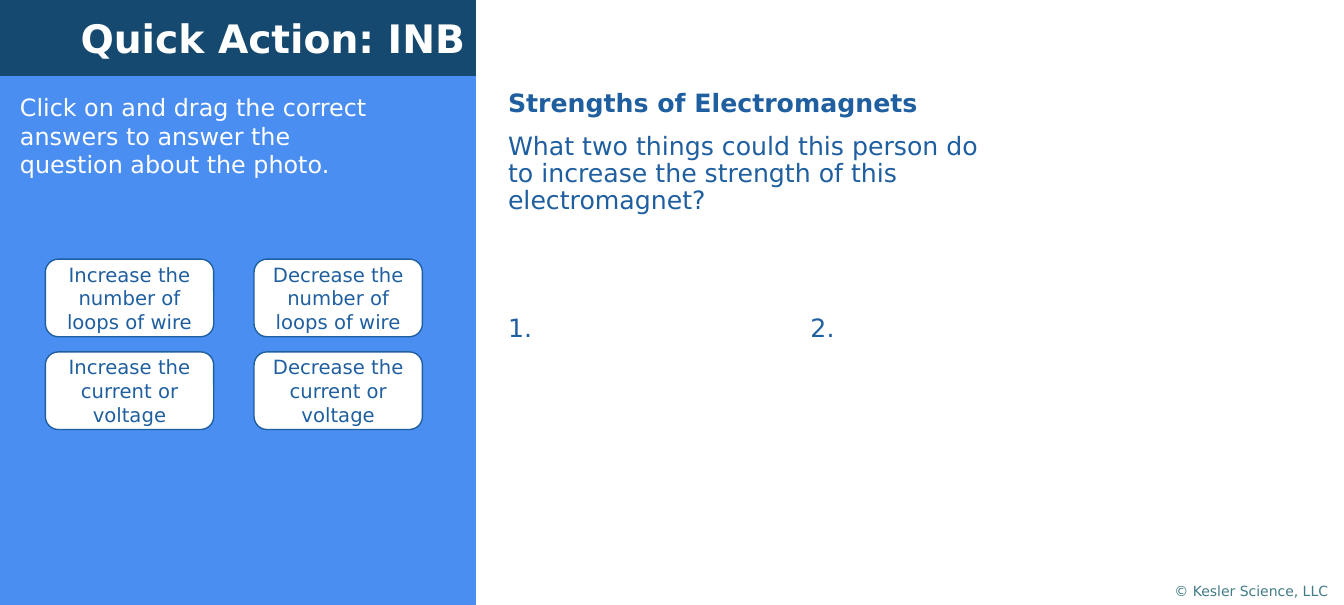
from dataclasses import dataclass
from typing import Any

import lxml.etree
import pptx
import pptx.dml.color
import pptx.enum.shapes
import pptx.enum.text
import pptx.oxml.ns
import pptx.util

EMU_PER_PX = 9144
Align = pptx.enum.text.PP_ALIGN
Preset = pptx.enum.shapes.MSO_SHAPE


@dataclass(frozen=True)
class Theme:
    font: str = "DejaVu Sans"
    white: str = "FFFFFF"
    panel: str = "4A8EF2"
    banner: str = "16496F"
    ink: str = "1F5FA0"
    credit: str = "417B85"
    title_size: int = 28
    body_size: int = 18
    prompt_size: int = 17
    answer_size: int = 14
    credit_size: int = 10


@dataclass(frozen=True)
class Box:
    left: int
    top: int
    width: int
    height: int


@dataclass(frozen=True)
class Style:
    size: int
    color: str
    bold: bool = False
    align: Any = Align.LEFT


@dataclass(frozen=True)
class Line:
    text: str
    bold: bool = False
    space_before: int = 0
    tab_stop: int = 0


THEME = Theme()
SLIDE = Box(0, 0, 1333, 600)
PANEL = Box(0, 0, 471, 600)
BANNER = Box(0, 0, 471, 75)
PROMPT = Box(10, 87, 387, 96)
QUESTION = Box(494, 85, 519, 292)
CREDIT = Box(1155, 573, 178, 27)
FIRST_ANSWER = Box(45, 257, 167, 77)
COLUMN_STEP, ROW_STEP = 207, 92

ANSWERS = (
    ("Increase the number of loops of wire", "Decrease the number of loops of wire"),
    ("Increase the current or voltage", "Decrease the current or voltage"),
)
QUESTION_LINES = (
    Line("Strengths of Electromagnets", bold=True),
    Line("What two things could this person do to increase the strength "
         "of this electromagnet?", space_before=11),
    Line("1.\t2.", space_before=72, tab_stop=300),
)


def px(length: int) -> int:
    return length * EMU_PER_PX


def rgb(color: str) -> pptx.dml.color.RGBColor:
    return pptx.dml.color.RGBColor.from_string(color)


def place(box: Box) -> tuple[int, int, int, int]:
    return px(box.left), px(box.top), px(box.width), px(box.height)


def style_paragraph(paragraph: Any, style: Style) -> None:
    paragraph.alignment = style.align
    for run in paragraph.runs:
        run.font.name = THEME.font
        run.font.size = pptx.util.Pt(style.size)
        run.font.bold = style.bold
        run.font.color.rgb = rgb(style.color)


def add_panel(slide: Any, preset: Any, box: Box, fill: str, line: str) -> Any:
    shape = slide.shapes.add_shape(preset, *place(box))
    shape.shadow.inherit = False
    shape.fill.solid()
    shape.fill.fore_color.rgb = rgb(fill)
    shape.line.color.rgb = rgb(line)
    shape.line.width = pptx.util.Pt(1)
    return shape


def set_label(shape: Any, text: str, style: Style) -> None:
    shape.text_frame.word_wrap = True
    shape.text_frame.vertical_anchor = pptx.enum.text.MSO_ANCHOR.MIDDLE
    shape.text_frame.text = text
    style_paragraph(shape.text_frame.paragraphs[0], style)


def add_text(slide: Any, box: Box, text: str, style: Style) -> Any:
    text_frame = slide.shapes.add_textbox(*place(box)).text_frame
    text_frame.word_wrap = True
    text_frame.text = text
    for paragraph in text_frame.paragraphs:
        style_paragraph(paragraph, style)
    return text_frame


def add_tab_stop(paragraph: Any, position: int) -> None:
    qn = pptx.oxml.ns.qn
    properties = paragraph._p.get_or_add_pPr()
    tabs = lxml.etree.SubElement(properties, qn("a:tabLst"))
    lxml.etree.SubElement(tabs, qn("a:tab"), pos=str(px(position)), algn="l")


def add_question(slide: Any) -> None:
    style = Style(THEME.body_size, THEME.ink)
    text = "\n".join(line.text for line in QUESTION_LINES)
    text_frame = add_text(slide, QUESTION, text, style)
    for paragraph, line in zip(text_frame.paragraphs, QUESTION_LINES):
        paragraph.line_spacing = 0.9
        if line.space_before:
            paragraph.space_before = pptx.util.Pt(line.space_before)
        if line.tab_stop:
            add_tab_stop(paragraph, line.tab_stop)
        for run in paragraph.runs:
            run.font.bold = line.bold


def add_answers(slide: Any) -> None:
    style = Style(THEME.answer_size, THEME.ink, align=Align.CENTER)
    for row, answers in enumerate(ANSWERS):
        for column, answer in enumerate(answers):
            box = Box(FIRST_ANSWER.left + column * COLUMN_STEP,
                      FIRST_ANSWER.top + row * ROW_STEP,
                      FIRST_ANSWER.width, FIRST_ANSWER.height)
            card = add_panel(slide, Preset.ROUNDED_RECTANGLE, box, THEME.white, THEME.ink)
            set_label(card, answer, style)


def main() -> None:
    presentation = pptx.Presentation()
    presentation.slide_width = px(SLIDE.width)
    presentation.slide_height = px(SLIDE.height)
    slide = presentation.slides.add_slide(presentation.slide_layouts[6])

    add_panel(slide, Preset.RECTANGLE, PANEL, THEME.panel, THEME.panel)
    banner = add_panel(slide, Preset.RECTANGLE, BANNER, THEME.banner, THEME.banner)
    set_label(banner, "Quick Action: INB",
              Style(THEME.title_size, THEME.white, bold=True, align=Align.RIGHT))
    add_text(slide, CREDIT, "© Kesler Science, LLC",
             Style(THEME.credit_size, THEME.credit))
    add_question(slide)
    add_text(slide, PROMPT,
             "Click on and drag the correct answers to answer the question about the photo.",
             Style(THEME.prompt_size, THEME.white))
    add_answers(slide)

    presentation.save("out.pptx")


if __name__ == "__main__":
    main()
